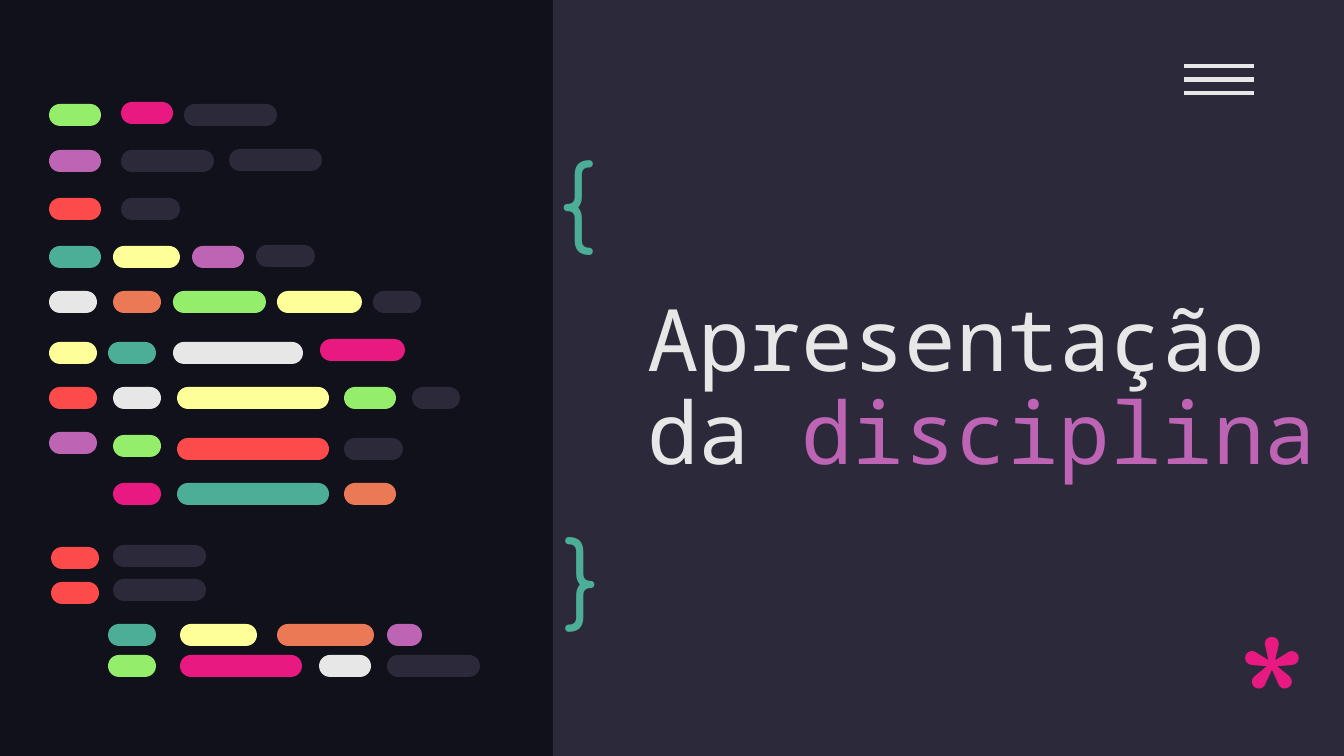
from pptx import Presentation
from pptx.dml.color import RGBColor
from pptx.enum.shapes import MSO_CONNECTOR, MSO_SHAPE
from pptx.enum.text import MSO_ANCHOR, MSO_AUTO_SIZE, PP_ALIGN
from pptx.oxml.ns import qn
from pptx.util import Emu, Pt
from lxml import etree

RECTANGLE, PILL = MSO_SHAPE.RECTANGLE, MSO_SHAPE.ROUNDED_RECTANGLE
STRAIGHT = MSO_CONNECTOR.STRAIGHT
TOP, MIDDLE = MSO_ANCHOR.TOP, MSO_ANCHOR.MIDDLE
LEFT, NO_FIT = PP_ALIGN.LEFT, MSO_AUTO_SIZE.NONE

PX_PER_INCH = 134.4
TITLE_ONLY = 5
INSET = 13
PILL_HEIGHT = 22

NIGHT, SLATE, WHITE = "10111A", "2C293A", "E7E7E7"
GREEN, PINK, PURPLE, RED = "94EE6B", "E81A81", "BD64B5", "FD4A4A"
TEAL, YELLOW, ORANGE = "4CAE97", "FFFF99", "EC7955"

# Code lines: (left, top, width, colour) of each pill, within the left panel
CODE_LINES = [
    [(49, 104, 52, GREEN), (121, 102, 52, PINK), (184, 104, 93, SLATE)],
    [(49, 150, 52, PURPLE), (121, 150, 93, SLATE), (229, 149, 93, SLATE)],
    [(49, 198, 52, RED), (121, 198, 59, SLATE)],
    [(49, 246, 52, TEAL), (113, 246, 67, YELLOW), (192, 246, 52, PURPLE),
     (256, 245, 59, SLATE)],
    [(49, 291, 48, WHITE), (113, 291, 48, ORANGE), (173, 291, 93, GREEN),
     (277, 291, 85, YELLOW), (373, 291, 48, SLATE)],
    [(49, 342, 48, YELLOW), (108, 342, 48, TEAL), (173, 342, 130, WHITE),
     (320, 339, 85, PINK)],
    [(49, 387, 48, RED), (113, 387, 48, WHITE), (177, 387, 152, YELLOW),
     (344, 387, 52, GREEN), (412, 387, 48, SLATE)],
    [(49, 432, 48, PURPLE), (113, 435, 48, GREEN), (177, 438, 152, RED),
     (344, 438, 59, SLATE)],
    [(113, 483, 48, PINK), (177, 483, 152, TEAL), (344, 483, 52, ORANGE)],
    [(51, 547, 48, RED), (113, 545, 93, SLATE)],
    [(51, 582, 48, RED), (113, 579, 93, SLATE)],
    [(108, 624, 48, TEAL), (180, 624, 77, YELLOW), (277, 624, 97, ORANGE),
     (387, 624, 35, PURPLE)],
    [(108, 655, 48, GREEN), (180, 655, 122, PINK), (319, 655, 52, WHITE),
     (387, 655, 93, SLATE)],
]


def px(length):
    return Emu(round(length * 914400 / PX_PER_INCH))


def color(hex_text):
    return RGBColor.from_string(hex_text)


def add_block(page, kind, box, fill):
    shape = page.shapes.add_shape(kind, *map(px, box))
    shape.shadow.inherit = False
    shape.fill.solid()
    shape.fill.fore_color.rgb = color(fill)
    shape.line.fill.background()
    return shape


def set_text(shape, spans, font, size, anchor):
    frame = shape.text_frame
    frame.word_wrap = True
    frame.auto_size = NO_FIT
    frame.vertical_anchor = anchor
    frame.margin_left = frame.margin_right = px(INSET)
    frame.margin_top = frame.margin_bottom = px(INSET)
    para = frame.paragraphs[0]
    para.alignment = LEFT
    for text, hex_text in spans:
        span = para.add_run()
        span.text = text
        span.font.name = font
        span.font.size = Pt(size)
        span.font.color.rgb = color(hex_text)
    return para


def add_symbol(page, box, text, size, hex_text, rotation=0):
    symbol = page.shapes.add_textbox(*map(px, box))
    symbol.rotation = rotation
    set_text(symbol, [(text, hex_text)], "Comfortaa", size, TOP)


def add_menu_icon(page, box):
    left, top, width, height = box
    for step in range(3):
        y = top + step * height / 2
        bar = page.shapes.add_connector(
            STRAIGHT, px(left), px(y), px(left + width), px(y))
        bar.line.color.rgb = color(WHITE)
        bar.line.width = Pt(2.25)
        properties = bar._element.find(qn("p:spPr"))
        etree.SubElement(properties, qn("a:effectLst"))


def add_code(page, box):
    left, top = box[:2]
    for line in CODE_LINES:
        for x, y, width, fill in line:
            pill = add_block(
                page, PILL, (left + x, top + y, width, PILL_HEIGHT), fill)
            pill.adjustments[0] = 0.5


def add_title_panel(page, box):
    left, top, width, height = box
    add_block(page, RECTANGLE, box, SLATE)
    add_menu_icon(page, (left + 631, top + 66, 70, 27))
    add_symbol(page, (left + 671, top + 585, 77, 117), "*", 96, PINK)

    # Braces around the title
    add_symbol(page, (left - 2, top + 504, 77, 128), "}", 50, TEAL)
    add_symbol(page, (left - 23, top + 161, 77, 128), "}", 50, TEAL, 180)

    # Title
    title = page.shapes.title
    title.left, title.top = px(left + 81), px(top + 302)
    title.width, title.height = px(width - 81), px(176)
    para = set_text(
        title, [("Apresentação da ", WHITE), ("disciplina", PURPLE)],
        "Noto Sans Mono", 46, MIDDLE)
    para.line_spacing = 0.9

    # Keep the title in front of the panel
    page.shapes._spTree.append(title._element)


def main():
    deck = Presentation()
    deck.slide_width, deck.slide_height = px(1344), px(756)
    page = deck.slides.add_slide(deck.slide_layouts[TITLE_ONLY])
    page.background.fill.solid()
    page.background.fill.fore_color.rgb = color(NIGHT)
    add_title_panel(page, (553, 0, 791, 756))
    add_code(page, (0, 0, 553, 756))
    deck.save("out.pptx")


if __name__ == "__main__":
    main()
